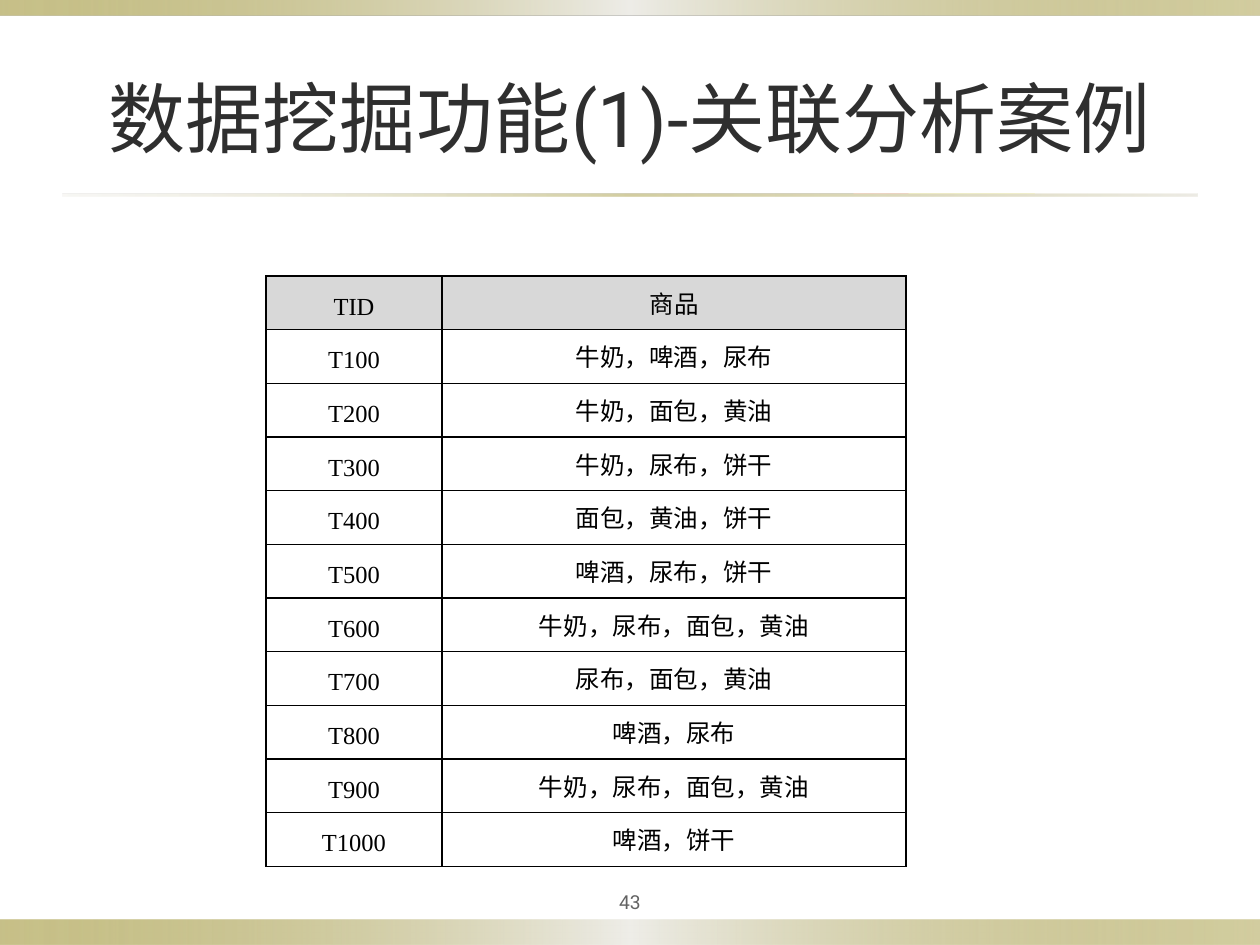
from lxml.etree import SubElement
from pptx import Presentation
from pptx.dml.color import RGBColor
from pptx.enum.shapes import MSO_SHAPE
from pptx.enum.text import MSO_ANCHOR, PP_ALIGN
from pptx.oxml.ns import qn
from pptx.util import Inches, Pt

OLIVE = RGBColor(0x91, 0x84, 0x15)
PEARL = RGBColor(0xEE, 0xED, 0xE8)
SAND = RGBColor(0xDC, 0xD9, 0xCC)
CHARCOAL = RGBColor(0x2F, 0x2F, 0x2F)
GRAY = RGBColor(0x63, 0x63, 0x63)
HEADER_GRAY = RGBColor(0xD8, 0xD8, 0xD8)
BLACK = RGBColor(0, 0, 0)

# Gradient stops: position, colour and opacity, in percent
BAND_STOPS = [(0, OLIVE, 50), (50, PEARL, 100), (100, OLIVE, 40)]
RULE_STOPS = [(0, SAND, 20), (50, OLIVE, 40), (100, SAND, 50)]

TITLE_FORMAT = {"name": "Roboto", "size": Pt(44), "color": CHARCOAL}
NUMBER_FORMAT = {"name": "Roboto", "size": Pt(11), "color": GRAY}
CELL_FORMAT = {"name": "Times New Roman", "size": Pt(14), "color": BLACK}

TRANSACTIONS = [
    ("TID", "商品"),
    ("T100", "牛奶，啤酒，尿布"),
    ("T200", "牛奶，面包，黄油"),
    ("T300", "牛奶，尿布，饼干"),
    ("T400", "面包，黄油，饼干"),
    ("T500", "啤酒，尿布，饼干"),
    ("T600", "牛奶，尿布，面包，黄油"),
    ("T700", "尿布，面包，黄油"),
    ("T800", "啤酒，尿布"),
    ("T900", "牛奶，尿布，面包，黄油"),
    ("T1000", "啤酒，饼干"),
]
COLUMN_WIDTHS = [1.4, 3.68]
ROW_HEIGHT = 4.69 / len(TRANSACTIONS)


def write_centred(frame, text, font_format):
    """Put one centred paragraph into a text frame and return it."""
    para = frame.paragraphs[0]
    para.alignment = PP_ALIGN.CENTER
    span = para.add_run()
    span.text = text
    for name, value in font_format.items():
        if name == "color":
            span.font.color.rgb = value
        else:
            setattr(span.font, name, value)
    return para


def add_gradient_bar(page, left, top, width, height, stops):
    bar = page.shapes.add_shape(
        MSO_SHAPE.RECTANGLE, Inches(left), Inches(top), Inches(width), Inches(height))
    bar.shadow.inherit = False
    bar.line.fill.background()
    bar.fill.gradient()
    bar.fill.gradient_angle = 0
    stop_list = bar.element.spPr.find(qn("a:gradFill")).find(qn("a:gsLst"))
    for stop in list(stop_list):
        stop_list.remove(stop)
    for position, color, opacity in stops:
        stop = SubElement(stop_list, qn("a:gs"), pos=str(position * 1000))
        shade = SubElement(stop, qn("a:srgbClr"), val=str(color))
        SubElement(shade, qn("a:alpha"), val=str(opacity * 1000))


def add_label(page, left, top, width, height, text, font_format, side_margin):
    box = page.shapes.add_textbox(
        Inches(left), Inches(top), Inches(width), Inches(height))
    frame = box.text_frame
    frame_format = {
        "word_wrap": True,
        "vertical_anchor": MSO_ANCHOR.MIDDLE,
        "margin_left": Inches(side_margin),
        "margin_right": Inches(side_margin),
        "margin_top": Inches(0.05),
        "margin_bottom": Inches(0.05),
    }
    for name, value in frame_format.items():
        setattr(frame, name, value)
    write_centred(frame, text, font_format)


def add_cell_borders(cell):
    properties = cell._tc.get_or_add_tcPr()
    for index, side in enumerate(("a:lnL", "a:lnR", "a:lnT", "a:lnB")):
        line = SubElement(properties, qn(side), w=str(Pt(1)))
        fill = SubElement(line, qn("a:solidFill"))
        SubElement(fill, qn("a:srgbClr"), val=str(BLACK))
        properties.insert(index, line)  # borders come before the cell fill


def fill_cell(cell, text, is_header):
    cell_format = {
        "vertical_anchor": MSO_ANCHOR.MIDDLE,
        "margin_left": Inches(0.07),
        "margin_right": Inches(0.07),
        "margin_top": 0,
        "margin_bottom": 0,
    }
    for name, value in cell_format.items():
        setattr(cell, name, value)
    para = write_centred(cell.text_frame, text, CELL_FORMAT)
    para.line_spacing = Pt(20)
    if is_header:
        cell.fill.solid()
        cell.fill.fore_color.rgb = HEADER_GRAY
    else:
        cell.fill.background()
    add_cell_borders(cell)


def add_transaction_table(page, left, top):
    table = page.shapes.add_table(
        len(TRANSACTIONS), len(COLUMN_WIDTHS), Inches(left), Inches(top),
        Inches(sum(COLUMN_WIDTHS)), Inches(ROW_HEIGHT * len(TRANSACTIONS))).table
    table.first_row = False
    table.horz_banding = False
    for column, width in zip(table.columns, COLUMN_WIDTHS):
        column.width = Inches(width)
    for row_index, (row, texts) in enumerate(zip(table.rows, TRANSACTIONS)):
        row.height = Inches(ROW_HEIGHT)
        for cell, text in zip(row.cells, texts):
            fill_cell(cell, text, is_header=row_index == 0)


def main():
    deck = Presentation()
    deck.slide_width, deck.slide_height = Inches(10), Inches(7.5)
    page = deck.slides.add_slide(deck.slide_layouts[6])

    add_gradient_bar(page, 0, 7.3, 10, 0.2, BAND_STOPS)
    add_gradient_bar(page, 0, 0, 10, 0.12, BAND_STOPS)
    add_gradient_bar(page, 0.5, 1.54, 9, 0.02, RULE_STOPS)
    add_label(page, 4.5, 7, 1, 0.31, "43", NUMBER_FORMAT, 0.05)
    add_label(page, 0.5, 0.3, 9, 1.25, "数据挖掘功能(1)-关联分析案例", TITLE_FORMAT, 0.1)
    add_transaction_table(page, 2.11, 2.19)

    deck.save("out.pptx")


if __name__ == "__main__":
    main()
